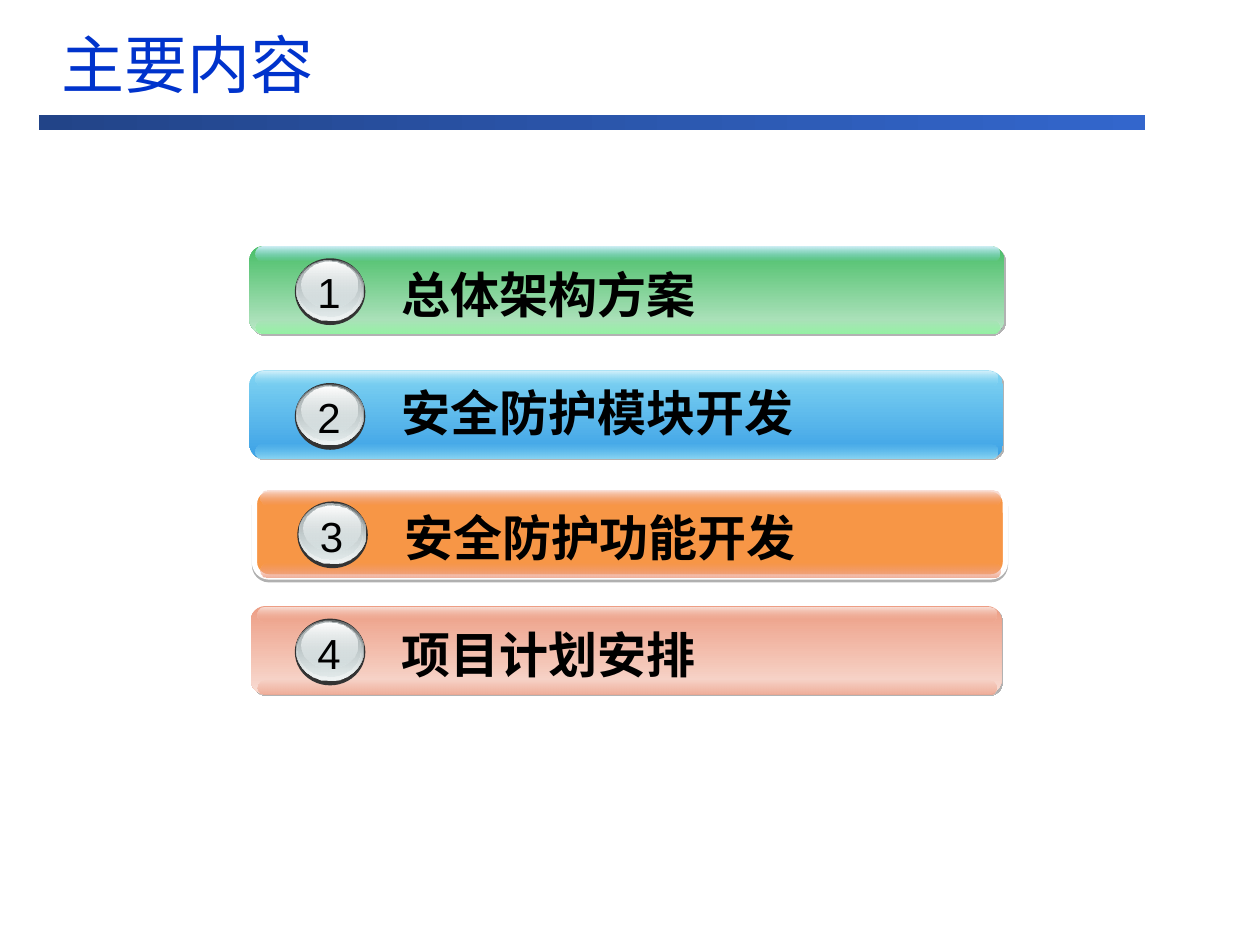
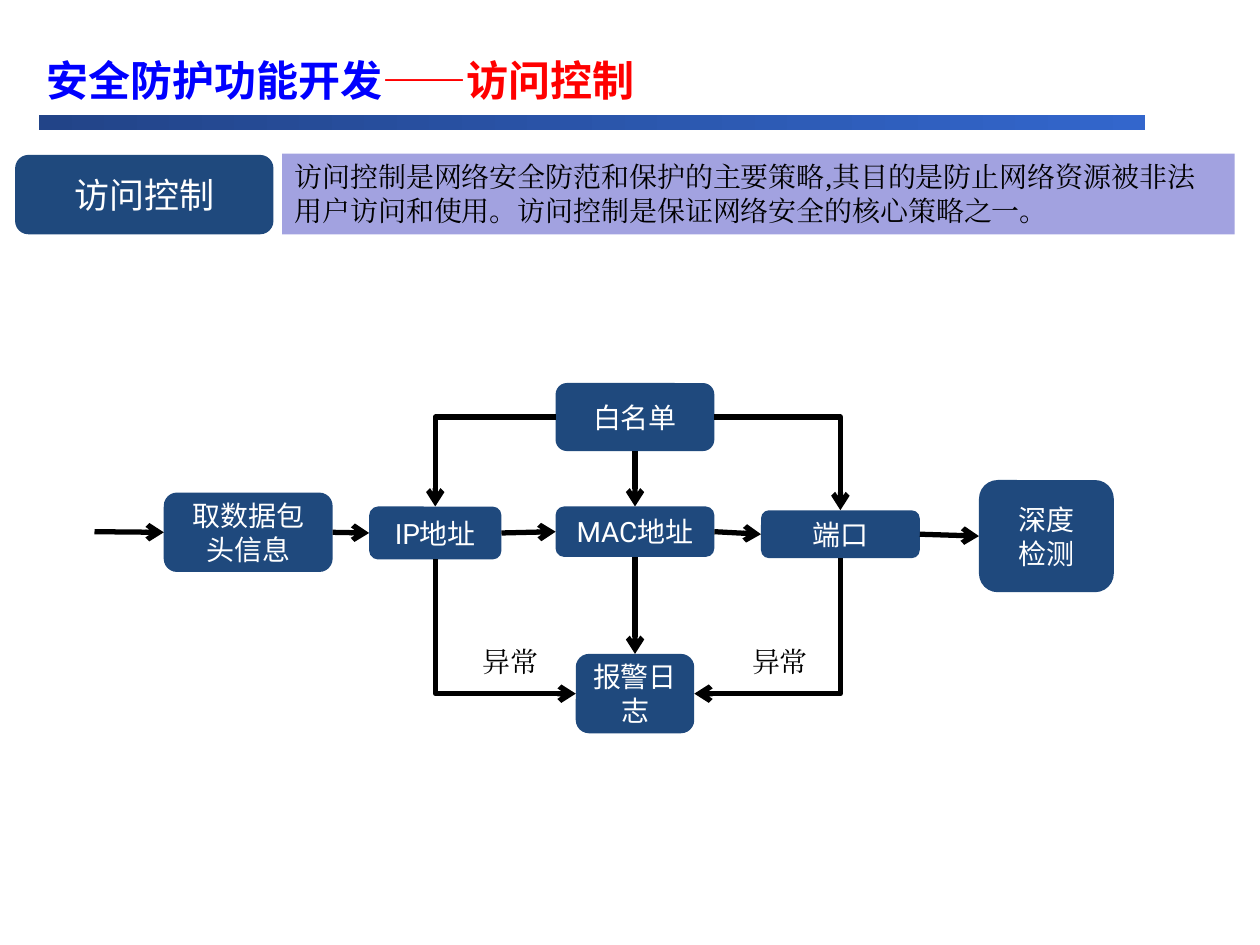
from lxml import etree
from pptx import Presentation
from pptx.dml.color import RGBColor
from pptx.enum import shapes, text
from pptx.oxml.ns import qn
from pptx.util import Inches, Pt

COLORS = {
    "band_start": "224488", "band_end": "3366CC",
    "title": "0033CC", "heading": "0000FF", "accent": "FF0000",
    "node": "1F497D", "summary": "A2A2E0",
    "black": "000000", "white": "FFFFFF",
    "badge_rim": "333333", "shadow": "B2B2B2",
}
CJK = "Noto Sans CJK SC"
ROUND = shapes.MSO_SHAPE.ROUNDED_RECTANGLE
RECT = shapes.MSO_SHAPE.RECTANGLE
OVAL = shapes.MSO_SHAPE.OVAL
TOP, LEFT, BOTTOM, RIGHT = range(4)
CENTER = text.PP_ALIGN.CENTER
MIDDLE = text.MSO_ANCHOR.MIDDLE

SKY_GLOSS = [("D5F1FB", 100), ("80D4F2", 0)]
PINK_GLOSS = [("F9DFD6", 100), ("ED9E85", 0)]
PINK_GLOW = [("ED9E85", 0), ("EFAA94", 100)]
# label, left, top, width, fill, top gloss, bottom glow, badge left, line spacing
AGENDA = [
    ("总体架构方案", 1.98, 1.95, 5.99, [("48BE67", 100), ("BCE7C8", 100)],
     SKY_GLOSS, [("82F094", 0), ("91F2A1", 100)], 2.34, 1.1),
    ("安全防护模块开发", 1.98, 2.94, 5.98, [("80D4F2", 100), ("3CA1E6", 100)],
     SKY_GLOSS, [("80D4F2", 0), ("8FD9F4", 100)], 2.34, 1.0),
    ("安全防护功能开发", 2.02, 3.88, 5.96, "F79646",
     PINK_GLOSS, PINK_GLOW, 2.36, 1.1),
    ("项目计划安排", 1.99, 4.81, 5.96, [("ED9E85", 100), ("F8DCD3", 100)],
     PINK_GLOSS, PINK_GLOW, 2.34, 1.1),
]
# x offset, y offset, width, height, fill of each disc, from back to front
BADGE_DISCS = [
    (0, 0, 0.56, 0.53, COLORS["badge_rim"]),
    (0.01, 0.01, 0.54, 0.48, [("636869", 100), ("D6E1E2", 100)]),
    (0.01, 0.02, 0.53, 0.47, [("D6E1E2", 0), ("F1F5F5", 100)]),
    (0.02, 0.02, 0.5, 0.44, [("AAB2B3", 100), ("D6E1E2", 48)]),
    (0.05, 0.03, 0.45, 0.36, [("FFFFFF", 100), ("D6E1E2", 38)]),
]


def paint(shape, fill, angle=270):
    """Fill with one hex colour, or with two (colour, opacity %) gradient stops."""
    if isinstance(fill, str):
        shape.fill.solid()
        shape.fill.fore_color.rgb = RGBColor.from_string(fill)
        return
    shape.fill.gradient()
    shape.fill.gradient_angle = angle
    for stop, (color, _) in zip(shape.fill.gradient_stops, fill):
        stop.color.rgb = RGBColor.from_string(color)
    tints = shape._element.spPr.iter(qn("a:srgbClr"))
    for tint, (_, opacity) in zip(list(tints), fill):
        if opacity < 100:
            etree.SubElement(tint, qn("a:alpha"), val=str(opacity * 1000))


def add_block(parent, kind, at, fill, angle=270, rounding=None):
    shape = parent.shapes.add_shape(kind, *map(Inches, at))
    shape.shadow.inherit = False
    shape.line.fill.background()
    paint(shape, fill, angle)
    if rounding is not None:
        shape.adjustments[0] = rounding
    return shape


def add_shadow(shape, color, opacity, distance, direction):
    effects = shape._element.spPr.find(qn("a:effectLst"))
    shadow = etree.SubElement(effects, qn("a:outerShdw"), blurRad="0",
                              dist=str(Pt(distance)), dir=str(direction * 60000))
    tint = etree.SubElement(shadow, qn("a:srgbClr"), val=color)
    etree.SubElement(tint, qn("a:alpha"), val=str(opacity * 1000))


def write(shape, lines, size, color="black", font="Arial", bold=False,
          align=text.PP_ALIGN.LEFT, anchor=text.MSO_ANCHOR.TOP, spacing=None):
    """Each line is a list of (words, format changes) spans."""
    frame = shape.text_frame
    frame.word_wrap = True
    frame.vertical_anchor = anchor
    for number, spans in enumerate(lines):
        para = frame.add_paragraph() if number else frame.paragraphs[0]
        para.alignment = align
        para.line_spacing = spacing
        for words, changes in spans:
            span = para.add_run()
            span.text = words
            look = {"size": Pt(size), "name": font, "bold": bold} | changes
            tint = look.pop("color", color)
            for name, value in look.items():
                setattr(span.font, name, value)
            span.font.color.rgb = RGBColor.from_string(COLORS[tint])
            east_asian = etree.Element(qn("a:ea"), typeface=look["name"])
            span.font._element.find(qn("a:latin")).addnext(east_asian)


def add_text(parent, at, lines, size, **look):
    box = parent.shapes.add_textbox(*map(Inches, at))
    write(box, lines, size, **look)


def add_band(page):
    add_block(page, RECT, (0.31, 0.91, 8.78, 0.12),
              [(COLORS["band_start"], 100), (COLORS["band_end"], 100)], angle=0)


def add_badge(group, number, left, top):
    for dx, dy, width, height, fill in BADGE_DISCS:
        add_block(group, OVAL, (left + dx, top + dy, width, height), fill)
    add_text(group, (left + 0.08, top + 0.02, 0.4, 0.5), [[(str(number), {})]], 24)


def add_agenda_bar(page, number, label, left, top, width, fill, gloss, glow,
                   badge_left, spacing):
    group = page.shapes.add_group_shape()
    bar = add_block(group, ROUND, (left, top, width, 0.7), fill)
    if isinstance(fill, str):
        bar.line.color.rgb = RGBColor.from_string(COLORS["white"])
        bar.line.width = Pt(3)
        add_shadow(bar, COLORS["black"], 31, 1.6, 90)
    else:
        add_shadow(bar, COLORS["shadow"], 100, 1.4, 45)
    for offset, sheen in ((0.59, glow), (0.01, gloss)):
        add_block(group, ROUND, (left + 0.05, top + offset, width - 0.09, 0.11),
                  sheen, rounding=0.5)
    add_text(group, (badge_left + 0.75, top + 0.05, 4.78, 0.62), [[(label, {})]],
             28, bold=True, spacing=spacing)
    add_badge(group, number, badge_left, top + 0.1)


def add_node(page, at, *lines, size=16):
    node = add_block(page, ROUND, at, COLORS["node"])
    write(node, lines, size, color="white", align=CENTER, anchor=MIDDLE)
    return node


def add_arrow(page, start, end, kind=shapes.MSO_CONNECTOR.STRAIGHT):
    """Start and end are (node, side); start may also be an (x, y) point."""
    arrow = page.shapes.add_connector(kind, 0, 0, 0, 0)
    if isinstance(start[0], float):
        arrow.begin_x, arrow.begin_y = map(Inches, start)
    else:
        arrow.begin_connect(*start)
    arrow.end_connect(*end)
    arrow.line.width = Pt(3)
    arrow.line.color.rgb = RGBColor.from_string(COLORS["black"])
    etree.SubElement(arrow.line._get_or_add_ln(), qn("a:tailEnd"), type="arrow")
    etree.SubElement(arrow._element.spPr, qn("a:effectLst"))
    return arrow


def add_corner_arrow(page, start, end):
    """Arrow with a single right-angle turn."""
    arrow = add_arrow(page, start, end, shapes.MSO_CONNECTOR.ELBOW)
    properties = arrow._element.spPr
    properties.find(qn("a:prstGeom")).set("prst", "bentConnector2")
    if start[1] != BOTTOM:
        return
    # The preset runs sideways first, so a downward start needs a turned frame.
    rightward = arrow.end_x > arrow.begin_x
    width, height = arrow.height, arrow.width
    arrow.left += (height - width) // 2
    arrow.top += (width - height) // 2
    arrow.width, arrow.height = width, height
    frame = properties.find(qn("a:xfrm"))
    frame.set("rot", str((270 if rightward else 90) * 60000))
    frame.set("flipH", "1" if rightward else "0")


def build_agenda(page):
    add_band(page)
    add_text(page, (0.39, 0.09, 8.27, 0.83), [[("主要内容", {})]], 36,
             color="title", font=CJK, anchor=MIDDLE)
    for number, entry in enumerate(AGENDA, 1):
        add_agenda_bar(page, number, *entry)


def build_access_control(page):
    add_band(page)
    add_text(page, (0.27, 0.34, 6.73, 0.54),
             [[("安全防护功能开发", {}), ("——访问控制", {"color": "accent"})]],
             24, color="heading", font=CJK, bold=True, spacing=1.1)
    add_node(page, (0.12, 1.23, 2.05, 0.63), [("访问控制", {})], size=20)
    summary = add_block(page, RECT, (2.24, 1.22, 7.56, 0.64), COLORS["summary"])
    write(summary, [[("访问控制是网络安全防范和保护的主要策略,其目的是防止网络资源被非法"
                      "用户访问和使用。访问控制是保证网络安全的核心策略之一。", {})]],
          16, font="Times New Roman")

    latin = {"name": "Roboto"}
    packet = add_node(page, (1.3, 3.91, 1.34, 0.63), [("取数据包头信息", {})])
    ip = add_node(page, (2.93, 4.02, 1.05, 0.42), [("IP", latin), ("地址", {})])
    mac = add_node(page, (4.41, 4.02, 1.26, 0.4), [("MAC", latin), ("地址", {})])
    port = add_node(page, (6.04, 4.05, 1.26, 0.38), [("端口", {})])
    inspection = add_node(page, (7.77, 3.81, 1.07, 0.89),
                          [("深度", {})], [("检测", {})])
    whitelist = add_node(page, (4.41, 3.04, 1.26, 0.54), [("白名单", {})])
    alarm_log = add_node(page, (4.57, 5.19, 0.94, 0.63), [("报警日志", {})])

    add_arrow(page, (0.75, 4.22), (packet, LEFT))
    chain = [packet, ip, mac, port, inspection]
    for source, target in zip(chain, chain[1:]):
        add_arrow(page, (source, RIGHT), (target, LEFT))
    for source, target in ((whitelist, mac), (mac, alarm_log)):
        add_arrow(page, (source, BOTTOM), (target, TOP))
    for check, side in ((ip, LEFT), (port, RIGHT)):
        add_corner_arrow(page, (whitelist, side), (check, TOP))
        add_corner_arrow(page, (check, BOTTOM), (alarm_log, side))
    for left in (3.73, 5.87):
        add_text(page, (left, 5.07, 0.68, 0.37), [[("异常", {})]], 16,
                 font="Times New Roman")


def main():
    deck = Presentation()
    deck.slide_width, deck.slide_height = Inches(10), Inches(7.5)
    for build in (build_agenda, build_access_control):
        build(deck.slides.add_slide(deck.slide_layouts[6]))
    deck.save("out.pptx")


if __name__ == "__main__":
    main()
